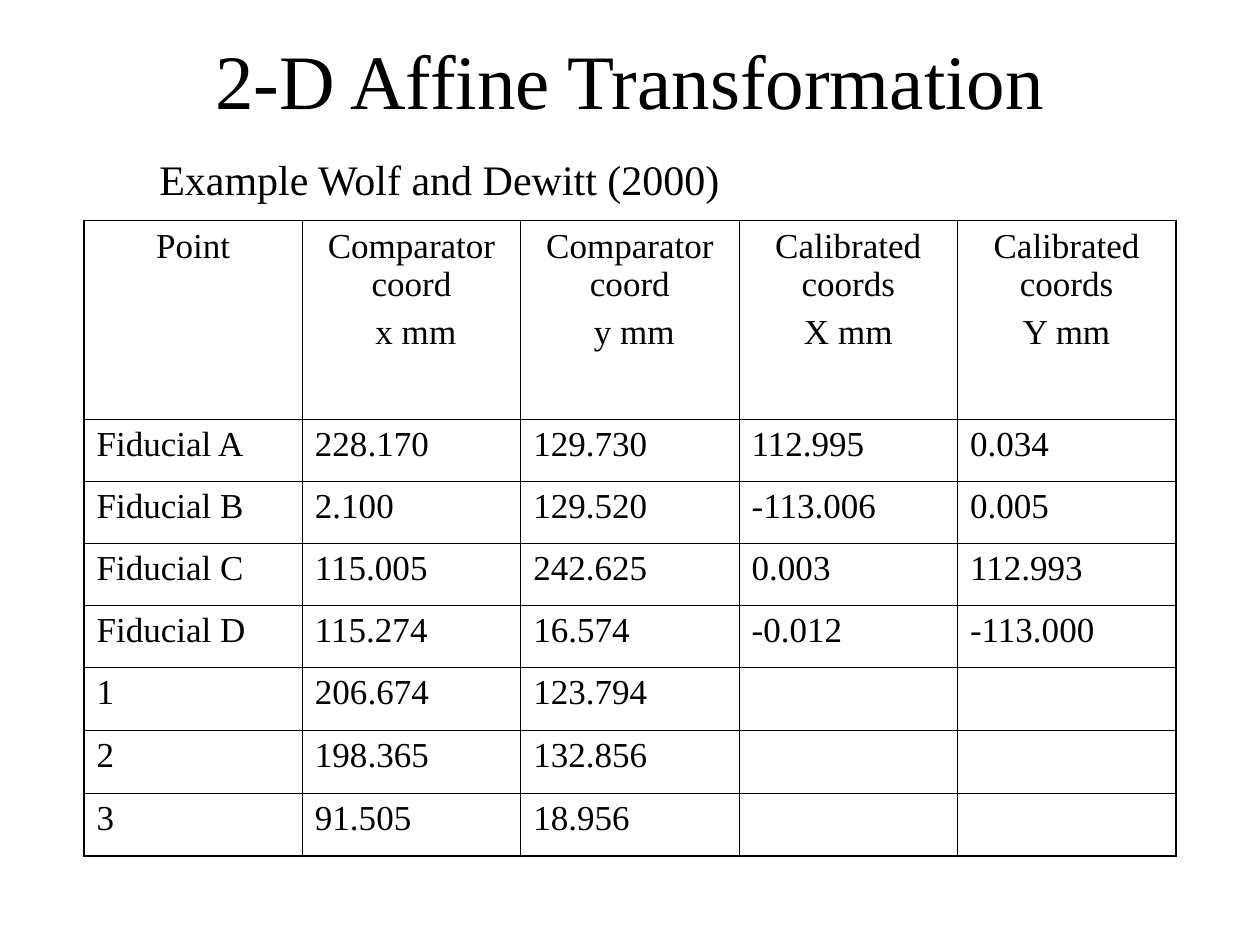
from pptx import Presentation
from pptx.dml.color import RGBColor
from pptx.enum import text
from pptx.oxml import parse_xml
from pptx.oxml.ns import nsdecls
from pptx.util import Pt

BLACK = RGBColor(0, 0, 0)
THIN, THICK = 0.45, 1.08

ROWS = [
    ["Point", "Comparator coord\n x mm", "Comparator coord\n y mm",
     "Calibrated coords\nX mm", "Calibrated coords\nY mm"],
    ["Fiducial A", "228.170", "129.730", "112.995", "0.034"],
    ["Fiducial B", "2.100", "129.520", "-113.006", "0.005"],
    ["Fiducial C", "115.005", "242.625", "0.003", "112.993"],
    ["Fiducial D", "115.274", "16.574", "-0.012", "-113.000"],
    ["1", "206.674", "123.794", "", ""],
    ["2", "198.365", "132.856", "", ""],
    ["3", "91.505", "18.956", "", ""],
]
ROW_HEIGHTS = [113.6] + [35.45] * 4 + [36] * 3


class SlideBuilder:
    font = "Times New Roman"
    color = BLACK

    def __init__(self, s):
        self.s = s

    def fill_text(self, tf, content, size, align, gap=0):
        """Fill a text frame, one paragraph per line, with a gap between them."""
        tf.text = content
        for i, p in enumerate(tf.paragraphs):
            p.alignment = align
            p.space_before = Pt(gap if i else 0)
            p.font.name = self.font
            p.font.size = Pt(size)
            p.font.color.rgb = self.color

    def text_box(self, content, box, size, align=text.PP_ALIGN.LEFT,
                 anchor=text.MSO_ANCHOR.TOP):
        tf = self.s.shapes.add_textbox(*map(Pt, box)).text_frame
        tf.word_wrap = True
        tf.vertical_anchor = anchor
        self.fill_text(tf, content, size, align)

    def borders(self, cell, widths):
        """Draw the left, right, top and bottom lines of a cell."""
        tc_pr = cell._tc.get_or_add_tcPr()
        for i, (side, width) in enumerate(zip("LRTB", widths)):
            tc_pr.insert(i, parse_xml(
                f'<a:ln{side} {nsdecls("a")} w="{Pt(width)}"><a:solidFill>'
                f'<a:srgbClr val="{self.color}"/></a:solidFill></a:ln{side}>'))

    def table(self, rows, left, top, width, heights, size):
        n_rows, n_cols = len(rows), len(rows[0])
        table = self.s.shapes.add_table(
            n_rows, n_cols, Pt(left), Pt(top), Pt(width), Pt(sum(heights))).table
        table.first_row = table.horz_banding = False
        for col in table.columns:
            col.width = Pt(width / n_cols)
        for i, (row, height) in enumerate(zip(rows, heights)):
            table.rows[i].height = Pt(height)
            align = text.PP_ALIGN.LEFT if i else text.PP_ALIGN.CENTER
            for j, content in enumerate(row):
                cell = table.cell(i, j)
                cell.fill.background()
                cell.margin_left = cell.margin_right = Pt(7.2)
                cell.margin_top = cell.margin_bottom = Pt(3.6)
                self.fill_text(cell.text_frame, content, size, align, gap=5)
                outer = (j == 0, j == n_cols - 1, i == 0, i == n_rows - 1)
                self.borders(cell, [THICK if edge else THIN for edge in outer])


def main():
    prs = Presentation()
    prs.slide_width, prs.slide_height = Pt(720), Pt(540)
    b = SlideBuilder(prs.slides.add_slide(prs.slide_layouts[6]))
    b.text_box("2-D Affine Transformation", (54, 0, 612, 90), 44,
               text.PP_ALIGN.CENTER, text.MSO_ANCHOR.MIDDLE)
    b.text_box("Example Wolf and Dewitt (2000)", (84, 84, 534, 36), 24)
    b.table(ROWS, 48, 126, 624, ROW_HEIGHTS, 20)
    prs.save("out.pptx")


if __name__ == "__main__":
    main()
